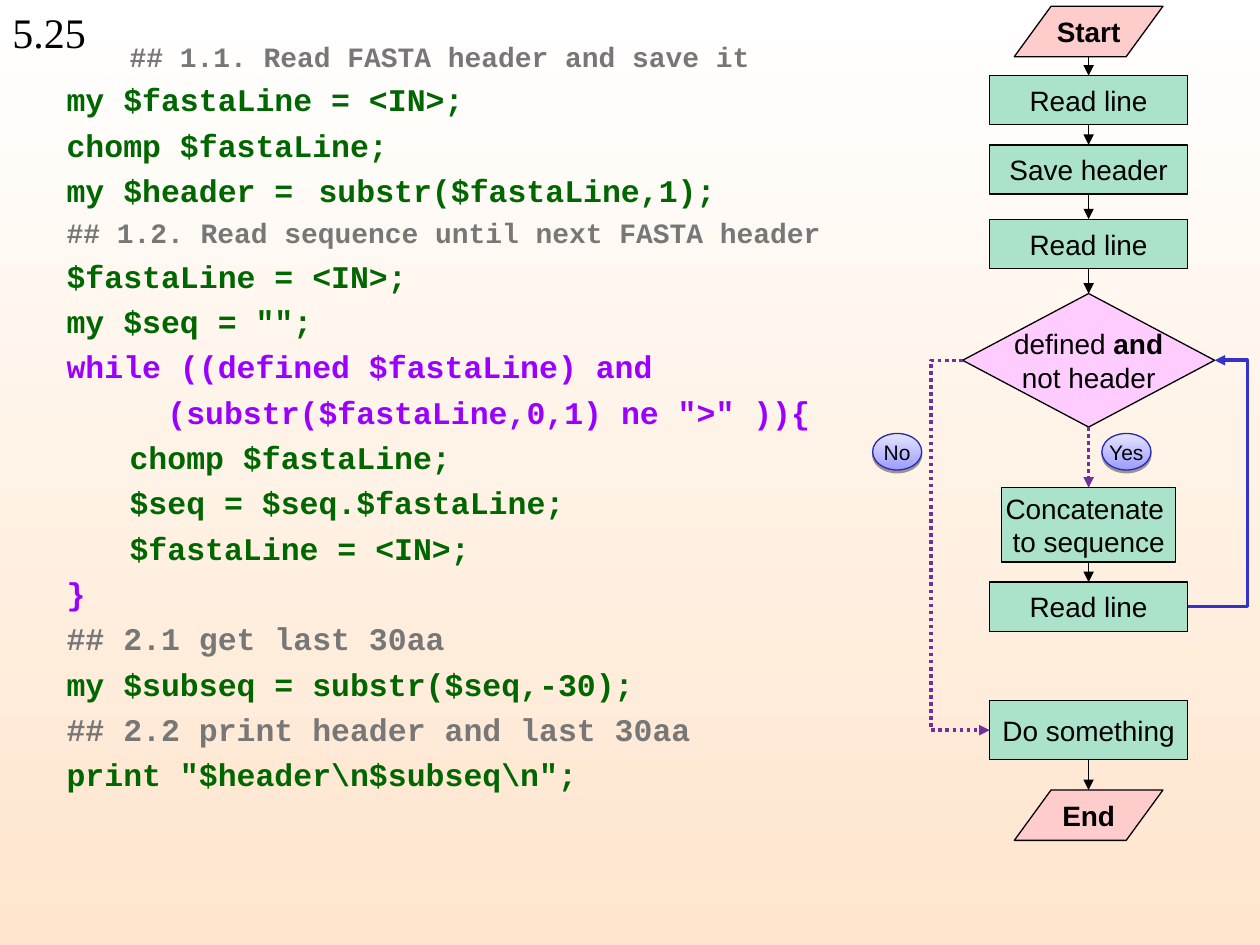
from lxml import etree
from pptx import Presentation
from pptx import util as u
from pptx.dml.color import RGBColor
from pptx.enum import dml, shapes, text
from pptx.oxml import ns

COLS, ROWS = 100, 75
BLACK, MINT, ROSE, LILAC = "000000", "AAE2CA", "FFCCCC", "FFCCFF"
GREEN, GREY, VIOLET, PURPLE, BLUE = "006600", "777777", "9900FF", "7030A0", "3333CC"
AXIS = 86.4
SHAPE = shapes.MSO_SHAPE
TOP, LEFT, BOTTOM, RIGHT = range(4)


def rgb(value):
    return RGBColor.from_string(value)


def child(parent, tag, **attrs):
    el = etree.SubElement(parent, ns.qn(tag))
    for key, value in attrs.items():
        el.set(key, str(value))
    return el


class Deck:
    label = {"name": "Arial", "size": u.Pt(16), "bold": False}
    tag = {**label, "size": u.Pt(12)}
    code = {"name": "Courier New", "size": u.Pt(18), "bold": True}
    number = {"name": "Times New Roman", "size": u.Pt(24), "bold": False}
    code_tabs = (0, 0.98, 1.47, 2, 3, 4, 5, 6)

    def __init__(self):
        self.prs = Presentation()
        self.prs.slide_width, self.prs.slide_height = u.Inches(10), u.Inches(7.5)
        self.s = self.prs.slides.add_slide(self.prs.slide_layouts[6])

    def x(self, col):
        return round(self.prs.slide_width * col / COLS)

    def y(self, row):
        return round(self.prs.slide_height * row / ROWS)

    def area(self, col, row, width, height):
        return self.x(col), self.y(row), self.x(width), self.y(height)

    def gradient(self, fill, colours, angle):
        fill.gradient()
        fill.gradient_angle = angle
        for stop, colour in zip(fill.gradient_stops, colours):
            stop.color.rgb = rgb(colour)

    def run(self, p, words, style, colour=BLACK, **extra):
        for i, part in enumerate(words.split("\v")):
            if i:
                p.add_line_break()
            r = p.add_run()
            r.text = part
            for key, value in {**style, **extra}.items():
                setattr(r.font, key, value)
            r.font.color.rgb = rgb(colour)

    def textbox(self, *area):
        tf = self.s.shapes.add_textbox(*self.area(*area)).text_frame
        tf.word_wrap = True
        return tf

    def slide_number(self, words):
        tf = self.textbox(0, 0, 12.5, 5)
        self.run(tf.paragraphs[0], words, self.number)

    def listing(self, lines):
        tf = self.textbox(4.3, 2.1, 94.5, 65)
        for i, (words, colour, size) in enumerate(lines):
            p = tf.add_paragraph() if i else tf.paragraphs[0]
            p.line_spacing = 1.2
            pPr = p._p.get_or_add_pPr()
            pPr.set("marL", str(u.Inches(0.5)))
            pPr.set("indent", str(u.Inches(-0.5)))
            tabs = child(pPr, "a:tabLst")
            for stop in self.code_tabs:
                child(tabs, "a:tab", pos=u.Inches(stop), algn="l")
            self.run(p, words, self.code, colour, size=u.Pt(size))

    def node(self, kind, row, width, height, fill, lines, style=label,
             centre=AXIS, line=BLACK):
        sp = self.s.shapes.add_shape(
            kind, *self.area(centre - width / 2, row, width, height))
        sp.shadow.inherit = False
        if isinstance(fill, str):
            sp.fill.solid()
            sp.fill.fore_color.rgb = rgb(fill)
        else:
            self.gradient(sp.fill, fill, 90)
        sp.line.color.rgb = rgb(line)
        sp.line.width = u.Pt(0.75)
        tf = sp.text_frame
        tf.word_wrap = False
        tf.vertical_anchor = text.MSO_ANCHOR.MIDDLE
        for i, runs in enumerate(lines):
            p = tf.add_paragraph() if i else tf.paragraphs[0]
            p.alignment = text.PP_ALIGN.CENTER
            for words, bold in runs:
                self.run(p, words, style, bold=bold)
        return sp

    def box(self, row, words, width=15.7, height=3.9):
        return self.node(SHAPE.RECTANGLE, row, width, height, MINT, [[(words, False)]])

    def terminal(self, row, words):
        sp = self.node(SHAPE.PARALLELOGRAM, row, 11.8, 4, ROSE, [[(words, True)]])
        sp.adjustments[0] = 0.73
        return sp

    def badge(self, centre, words):
        sp = self.node(SHAPE.OVAL, 34.4, 3.9, 2.9, ("9C9CFF", "E4E4FF"),
                       [[(words, False)]], self.tag, centre, "2828B8")
        shadow = child(sp._element.spPr.find(ns.qn("a:effectLst")), "a:outerShdw",
                       blurRad=0, dist=u.Pt(1.6), dir=90 * 60000, rotWithShape=0)
        child(child(shadow, "a:srgbClr", val=BLACK), "a:alpha", val=38000)

    def arrow(self, kind, ends, colour, width, dotted):
        c = self.s.shapes.add_connector(kind, *ends)
        c.line.color.rgb = rgb(colour)
        c.line.width = u.Pt(width)
        if dotted:
            c.line.dash_style = dml.MSO_LINE.ROUND_DOT
        child(c.line._get_or_add_ln(), "a:tailEnd", type="triangle")
        child(c._element.spPr, "a:effectLst")
        return c

    def down(self, a, b, colour=BLACK, width=0.75, dotted=False):
        ends = self.x(AXIS), a.top + a.height, self.x(AXIS), b.top
        self.arrow(shapes.MSO_CONNECTOR.STRAIGHT, ends, colour, width, dotted)

    def detour(self, a, a_site, b, b_site, bend, colour, dotted=False):
        c = self.arrow(shapes.MSO_CONNECTOR.ELBOW, (0, 0, 0, 0), colour, 2, dotted)
        c.begin_connect(a, a_site)
        c.end_connect(b, b_site)
        geom = c._element.spPr.find(ns.qn("a:prstGeom"))
        guides = geom.find(ns.qn("a:avLst"))
        if guides is None:
            guides = child(geom, "a:avLst")
        share = (self.x(bend) - c.begin_x) / (c.end_x - c.begin_x)
        child(guides, "a:gd", name="adj1", fmla=f"val {round(share * 100000)}")


def main():
    d = Deck()
    d.gradient(d.s.background.fill, ("FFFFFF", "FFE5CD"), 270)
    d.slide_number("5.25")
    d.listing([
        ("\t## 1.1. Read FASTA header and save it", GREY, 16),
        ("my $fastaLine = <IN>;", GREEN, 18),
        ("chomp $fastaLine;", GREEN, 18),
        ("my $header = \tsubstr($fastaLine,1);", GREEN, 18),
        ("## 1.2. Read sequence until next FASTA header", GREY, 16),
        ("$fastaLine = <IN>;", GREEN, 18),
        ('my $seq = "";', GREEN, 18),
        ("while ((defined $fastaLine) and", VIOLET, 18),
        ('\t  (substr($fastaLine,0,1) ne ">" )){', VIOLET, 18),
        ("\tchomp $fastaLine;", GREEN, 18),
        ("\t$seq = $seq.$fastaLine;", GREEN, 18),
        ("\t$fastaLine = <IN>;", GREEN, 18),
        ("}", VIOLET, 18),
        ("## 2.1 get last 30aa", GREY, 18),
        ("my $subseq = substr($seq,-30);", GREEN, 18),
        ("## 2.2 print header and last 30aa", GREY, 18),
        ('print "$header\\n$subseq\\n";', GREEN, 18),
    ])

    start = d.terminal(0.5, "Start")
    first = d.box(6, "Read line")
    save = d.box(11.5, "Save header")
    second = d.box(17.4, "Read line")
    test = d.node(SHAPE.DIAMOND, 23.3, 20, 10.6, LILAC,
                  [[("defined", False), (" and", True)], [("not header", False)]])
    join = d.box(38.7, "Concatenate \vto sequence", 13.8, 5.9)
    again = d.box(46.2, "Read line")
    action = d.box(55.6, "Do something", height=4.7)
    end = d.terminal(62.7, "End")
    d.badge(71.2, "No")
    d.badge(89.4, "Yes")

    for a, b in ((start, first), (first, save), (save, second),
                 (second, test), (join, again), (action, end)):
        d.down(a, b)
    d.down(test, join, PURPLE, 2, True)
    d.detour(again, RIGHT, test, RIGHT, 99, BLUE)
    d.detour(test, LEFT, action, LEFT, 73.9, PURPLE, True)
    d.prs.save("out.pptx")


if __name__ == "__main__":
    main()
